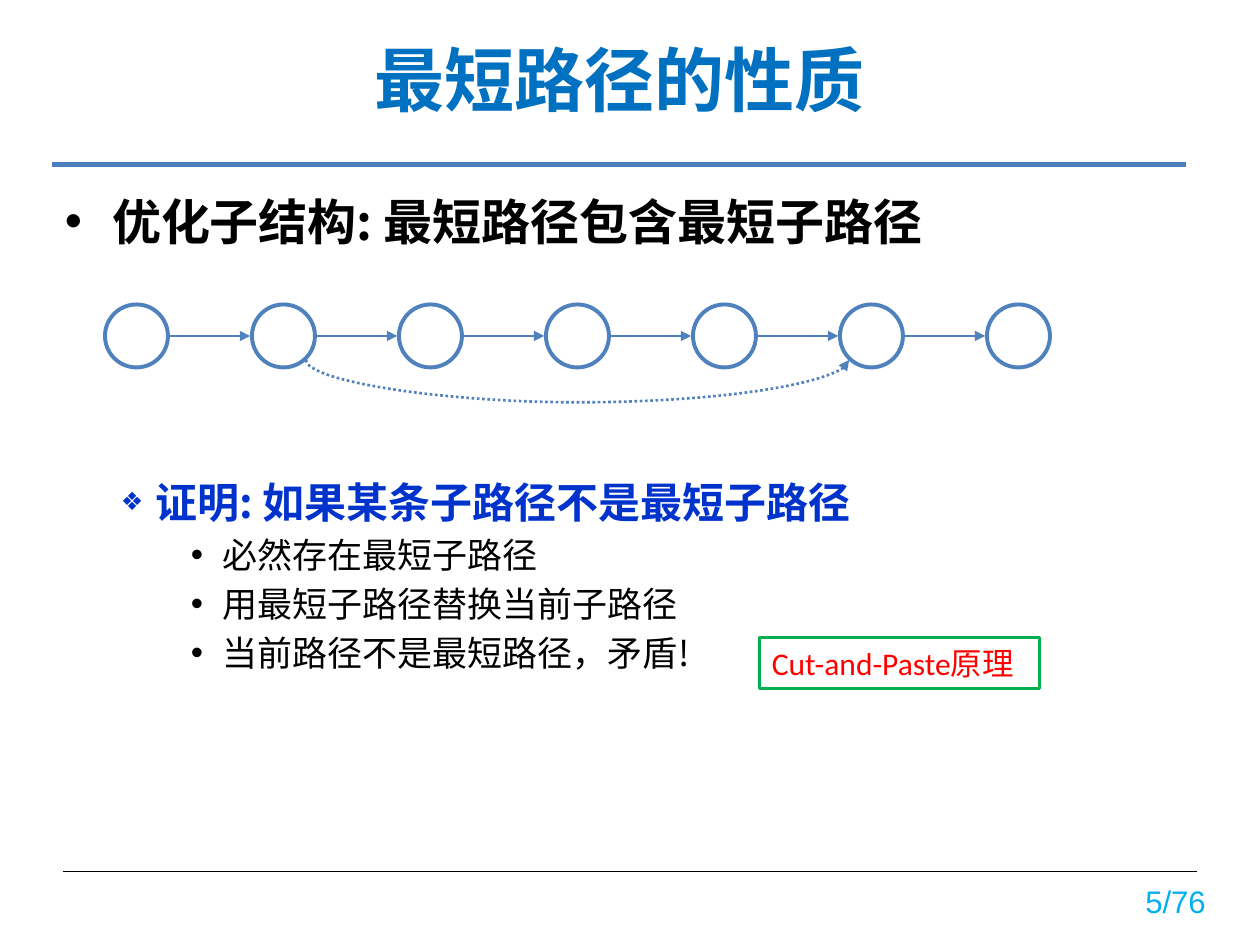
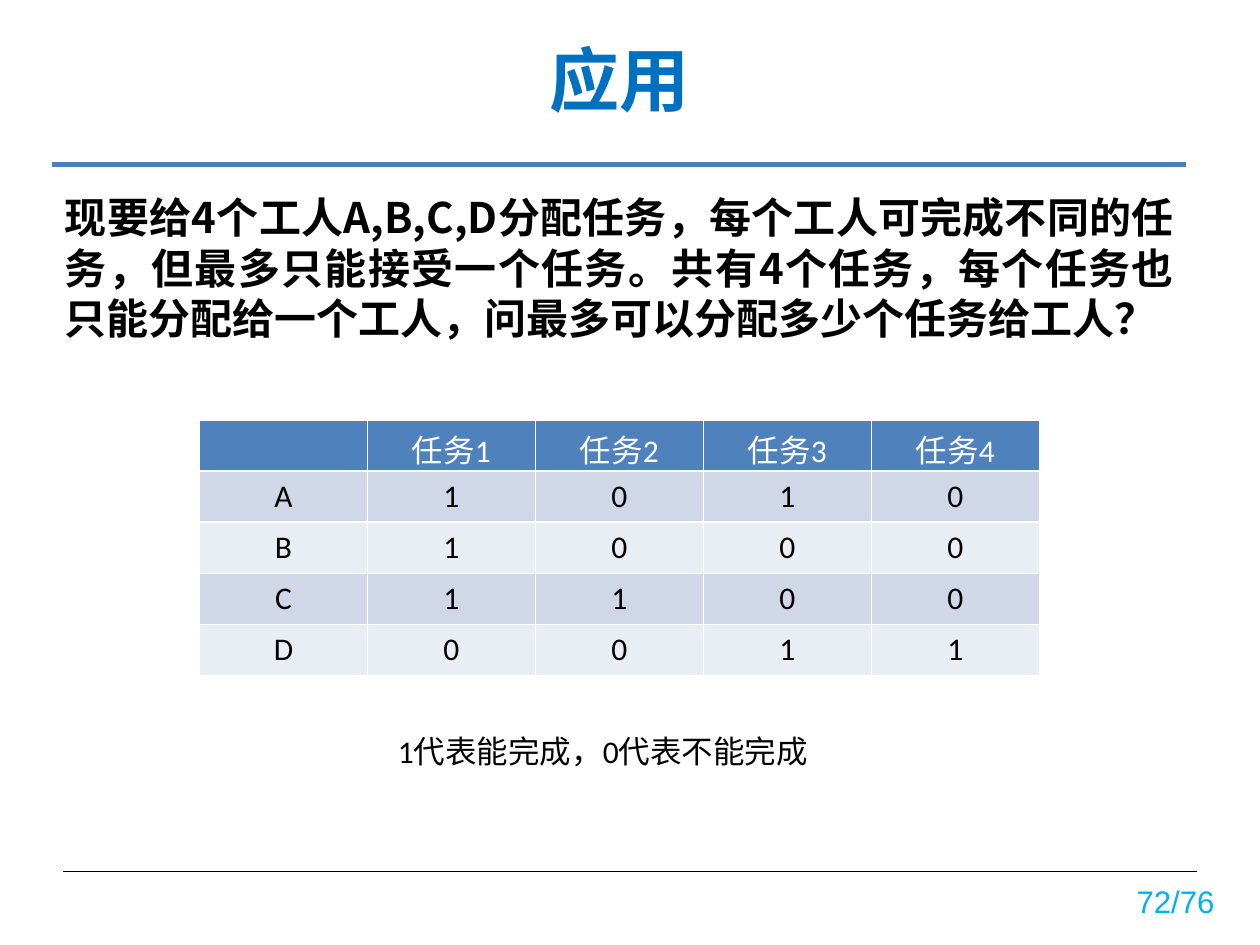
from dataclasses import dataclass

from lxml import etree
from pptx import Presentation
from pptx import util as u
from pptx.dml.color import RGBColor
from pptx.enum import dml, shapes, text
from pptx.oxml.ns import qn

Pt = u.Pt


@dataclass(frozen=True)
class Theme:
    title_color: str = "0070C0"
    ink: str = "000000"
    white: str = "FFFFFF"
    accent: str = "4F81BD"
    title_rule: str = "4B7EBC"
    page_color: str = "00B0F0"
    proof_color: str = "0033CC"
    note_border: str = "00B050"
    note_color: str = "FF0000"
    band_dark: str = "D0D8E8"
    band_light: str = "E9EDF4"
    cjk_font: str = "Noto Sans CJK SC"
    latin_font: str = "Calibri"
    page_font: str = "Arial"
    title_size: float = 40
    heading_size: float = 28
    body_size: float = 24
    point_size: float = 20
    small_size: float = 18
    page_size: float = 17.8


THEME = Theme()
ALIGN = text.PP_ALIGN
MIDDLE = text.MSO_ANCHOR.MIDDLE
TOTAL_PAGES = 76


def rgb(color):
    return RGBColor.from_string(color)


def add_child(parent, tag, **attributes):
    child = etree.SubElement(parent, qn(tag))
    for name, value in attributes.items():
        child.set(name, str(value))
    return child


def add_run(paragraph, words, size, color, font=THEME.latin_font, bold=False):
    run = paragraph.add_run()
    run.text = words
    run.font.size = Pt(size)
    run.font.name = font
    run.font.bold = bold
    run.font.color.rgb = rgb(color)
    add_child(run.font._element, "a:ea", typeface=THEME.cjk_font)


def add_textbox(slide, left, top, width, height, wrap=True, anchor=MIDDLE):
    box = slide.shapes.add_textbox(Pt(left), Pt(top), Pt(width), Pt(height))
    frame = box.text_frame
    frame.word_wrap = wrap
    frame.vertical_anchor = anchor
    return frame


def add_body_paragraph(paragraph, words, size, color=THEME.ink, bold=True, before=0):
    """Fill a justified paragraph with a fixed line height of 1.2 times its size."""
    paragraph.alignment = ALIGN.JUSTIFY
    paragraph.line_spacing = Pt(1.2 * size)
    paragraph.space_before = Pt(before)
    add_run(paragraph, words, size, color, THEME.cjk_font, bold)


def add_bullet(paragraph, symbol, margin, hang, percent=100):
    properties = paragraph._p.get_or_add_pPr()
    properties.set("marL", str(Pt(margin)))
    properties.set("indent", str(-Pt(hang)))
    add_child(properties, "a:buSzPct", val=percent * 1000)
    add_child(properties, "a:buFont", typeface=THEME.page_font)
    add_child(properties, "a:buChar", char=symbol)


def add_line(slide, start, end, color, width, arrow=False, dash=None,
             kind=shapes.MSO_CONNECTOR.STRAIGHT):
    points = [Pt(value) for value in (*start, *end)]
    line = slide.shapes.add_connector(kind, *points)
    line.line.color.rgb = rgb(color)
    line.line.width = Pt(width)
    if dash:
        line.line.dash_style = dash
    if arrow:
        add_child(line.line._get_or_add_ln(), "a:tailEnd", type="triangle")
    add_child(line._element.spPr, "a:effectLst")
    return line


def add_shape(slide, kind, left, top, width, height, border, border_width, fill=None):
    shape = slide.shapes.add_shape(kind, Pt(left), Pt(top), Pt(width), Pt(height))
    shape.shadow.inherit = False
    shape.line.color.rgb = rgb(border)
    shape.line.width = Pt(border_width)
    if fill:
        shape.fill.solid()
        shape.fill.fore_color.rgb = rgb(fill)
    else:
        shape.fill.background()
    return shape


def add_titled_slide(presentation, title, page):
    """Add a slide with the shared title, rules and page number."""
    slide = presentation.slides.add_slide(presentation.slide_layouts[5])
    holder = slide.shapes.title
    holder.left, holder.top, holder.width, holder.height = map(Pt, (30, 3.6, 648, 82))
    holder.text_frame.vertical_anchor = MIDDLE
    paragraph = holder.text_frame.paragraphs[0]
    paragraph.alignment = ALIGN.CENTER
    add_run(paragraph, title, THEME.title_size, THEME.title_color, THEME.cjk_font, True)

    add_line(slide, (30, 94), (678, 94), THEME.title_rule, 2.75)
    add_line(slide, (36, 498), (684, 498), THEME.ink, 0.75)
    paragraph = add_textbox(slide, 638, 479.5, 67.5, 70.5).paragraphs[0]
    paragraph.alignment = ALIGN.CENTER
    add_run(paragraph, f"{page}/{TOTAL_PAGES}", THEME.page_size, THEME.page_color,
            THEME.page_font)
    return slide


def add_body(slide):
    return add_textbox(slide, 30, 106, 648, 380, anchor=text.MSO_ANCHOR.TOP)


def add_shortcut(slide, source, target):
    """Draw a dotted curve sagging below the row, between the lower sides of two nodes."""
    curve = add_line(slide, (0, 0), (1, 1), THEME.accent, 1.5, True,
                     dml.MSO_LINE.ROUND_DOT, shapes.MSO_CONNECTOR.CURVE)
    lower_right, lower_left = 5, 3
    curve._connect_begin_to(source, lower_right)
    curve._connect_end_to(target, lower_left)
    thickness, span = 0.13, 310.3
    curve.left, curve.top = Pt(330), Pt(50.5)
    curve.width, curve.height = Pt(thickness), Pt(span)
    properties = curve._element.spPr
    frame = properties.find(qn("a:xfrm"))
    frame.set("rot", "16200000")
    frame.set("flipH", "1")
    sag = 22.3
    guides = properties.find(qn("a:prstGeom")).get_or_add_avLst()
    add_child(guides, "a:gd", name="adj1", fmla=f"val {round(sag / thickness * 100000)}")


def add_path_diagram(slide, count=7, left=60, top=174, diameter=36, pitch=84):
    nodes = [add_shape(slide, shapes.MSO_SHAPE.OVAL, left + pitch * index, top,
                       diameter, diameter, THEME.accent, 2.25, THEME.white)
             for index in range(count)]
    middle = top + diameter / 2
    for index in range(count - 1):
        start = left + pitch * index
        add_line(slide, (start + diameter + 1, middle), (start + pitch - 1, middle),
                 THEME.accent, 1.5, arrow=True)
    add_shortcut(slide, nodes[1], nodes[5])


def add_border(cell):
    properties = cell._tc.get_or_add_tcPr()
    for position, side in enumerate(("a:lnL", "a:lnR", "a:lnT", "a:lnB")):
        border = etree.Element(qn(side), w=str(Pt(1)))
        fill = add_child(border, "a:solidFill")
        add_child(fill, "a:srgbClr", val=THEME.white)
        properties.insert(position, border)


def add_task_table(slide, rows):
    row_height, column_width = 29.2, 96
    columns = len(rows[0])
    table = slide.shapes.add_table(
        len(rows), columns, Pt(114), Pt(240),
        Pt(column_width * columns), Pt(row_height * len(rows))).table
    table.first_row = table.horz_banding = False
    for row_index, row in enumerate(rows):
        if row_index == 0:
            fill, color = THEME.accent, THEME.white
        else:
            fill = THEME.band_dark if row_index % 2 else THEME.band_light
            color = THEME.ink
        for column_index, words in enumerate(row):
            cell = table.cell(row_index, column_index)
            cell.fill.solid()
            cell.fill.fore_color.rgb = rgb(fill)
            add_border(cell)
            paragraph = cell.text_frame.paragraphs[0]
            paragraph.alignment = ALIGN.CENTER
            if words:
                add_run(paragraph, words, THEME.small_size, color)


def build_properties_slide(presentation):
    slide = add_titled_slide(presentation, "最短路径的性质", 5)
    body = add_body(slide)
    heading = body.paragraphs[0]
    add_body_paragraph(heading, "优化子结构: 最短路径包含最短子路径", THEME.heading_size)
    add_bullet(heading, "•", 27, 27)
    proof = body.add_paragraph()
    add_body_paragraph(proof, "证明: 如果某条子路径不是最短子路径", THEME.body_size,
                       THEME.proof_color, before=129)
    add_bullet(proof, "❖", 52, 20, 60)
    for step in ("必然存在最短子路径", "用最短子路径替换当前子路径",
                 "当前路径不是最短路径，矛盾!"):
        paragraph = body.add_paragraph()
        add_body_paragraph(paragraph, step, THEME.point_size, bold=False, before=4)
        add_bullet(paragraph, "•", 90, 18)

    add_path_diagram(slide)
    note = add_shape(slide, shapes.MSO_SHAPE.RECTANGLE, 434, 364.3, 160, 29,
                     THEME.note_border, 1.5)
    note.text_frame.word_wrap = True
    note.text_frame.vertical_anchor = MIDDLE
    paragraph = note.text_frame.paragraphs[0]
    paragraph.alignment = ALIGN.JUSTIFY
    add_run(paragraph, "Cut-and-Paste原理", THEME.small_size, THEME.note_color)


def build_application_slide(presentation):
    slide = add_titled_slide(presentation, "应用", 72)
    question = ("现要给4个工人A,B,C,D分配任务，每个工人可完成不同的任务，"
                "但最多只能接受一个任务。共有4个任务，每个任务也只能分配给一个工人，"
                "问最多可以分配多少个任务给工人？")
    add_body_paragraph(add_body(slide).paragraphs[0], question, THEME.body_size)
    add_task_table(slide, [
        ("", "任务1", "任务2", "任务3", "任务4"),
        ("A", "1", "0", "1", "0"),
        ("B", "1", "0", "0", "0"),
        ("C", "1", "1", "0", "0"),
        ("D", "0", "0", "1", "1"),
    ])
    legend = add_textbox(slide, 220.3, 413, 279.4, 31.7, wrap=False)
    add_run(legend.paragraphs[0], "1代表能完成，0代表不能完成", THEME.small_size, THEME.ink)


def main():
    presentation = Presentation()
    presentation.slide_width, presentation.slide_height = Pt(720), Pt(540)
    build_properties_slide(presentation)
    build_application_slide(presentation)
    presentation.save("out.pptx")


if __name__ == "__main__":
    main()
